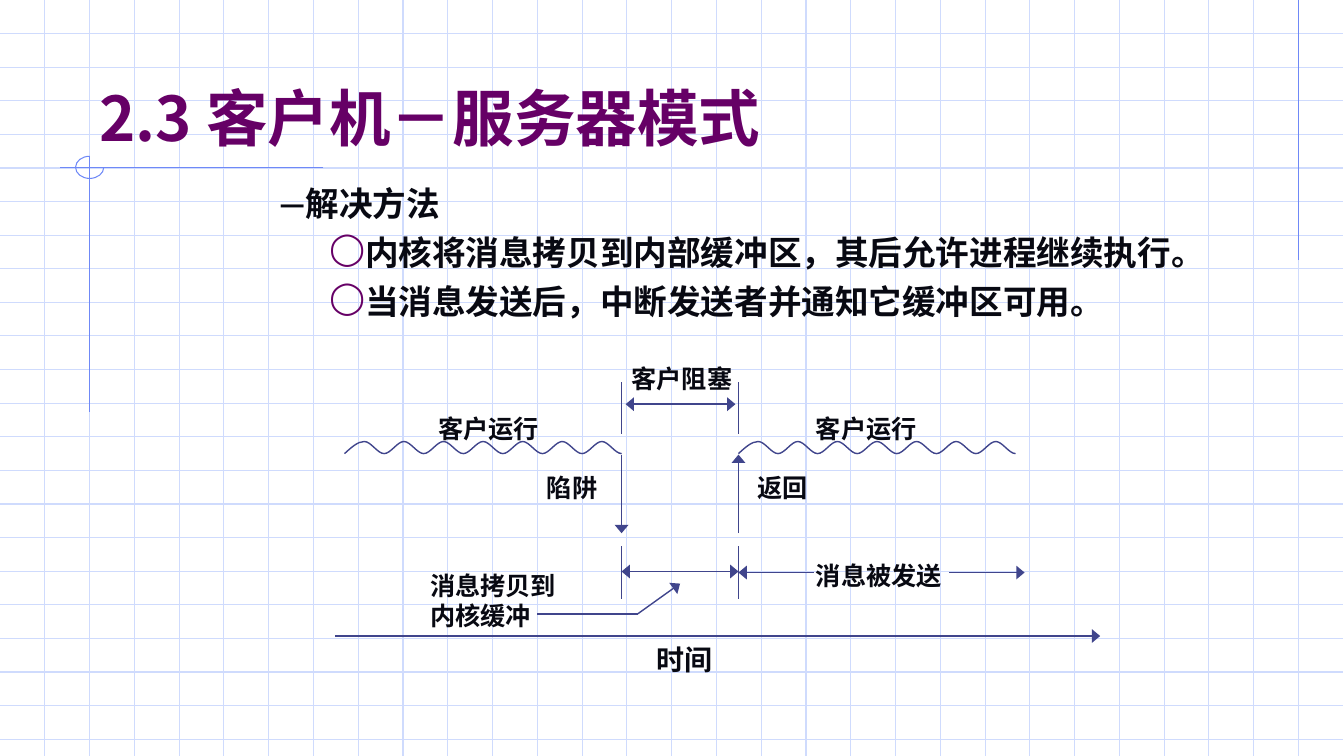
from lxml.etree import SubElement as Sub
from pptx import Presentation
from pptx.dml.color import RGBColor as Rgb
from pptx.enum.shapes import MSO_CONNECTOR as Conn
from pptx.enum.text import MSO_ANCHOR as Anchor
from pptx.oxml.ns import qn
from pptx.util import Inches, Pt


class Theme:
    grid = "CFDBFD"
    trim = "6F89F7"
    ink = "40458C"
    text = "080912"
    head = "660066"
    serif = "Times New Roman"
    sans = "Lato"
    cjk = "Noto Sans CJK JP"
    title = 44
    body = 24
    time = 20
    label = 18
    thin = 0.75
    line = 1


deck = Presentation()
deck.slide_width, deck.slide_height = Inches(13.34), Inches(7.5)
slide = deck.slides.add_slide(deck.slide_layouts[6])
shapes = slide.shapes


def write(para, text, font=Theme.serif, east=Theme.sans, size=Theme.label, color=Theme.text):
    run = para.add_run()
    run.text = text
    run.font.name = font
    run.font.size = Pt(size)
    run.font.bold = True
    run.font.color.rgb = Rgb.from_string(color)
    Sub(run.font._element, qn("a:ea")).set("typeface", east)


def draw(x1, y1, x2, y2, color=Theme.ink, width=Theme.line, ends=()):
    line = shapes.add_connector(Conn.STRAIGHT, Inches(x1), Inches(y1), Inches(x2), Inches(y2))
    line.line.color.rgb = Rgb.from_string(color)
    line.line.width = Pt(width)
    for end in ends:
        tip = Sub(line.line._get_or_add_ln(), qn(f"a:{end}End"))
        tip.set("type", "triangle")
        tip.set("w", "lg")
        tip.set("len", "med")
    Sub(line._element.spPr, qn("a:effectLst"))


for row in range(1, 23):
    draw(0, row / 3, 13.33, row / 3, Theme.grid, Theme.thin)
for col in range(1, 30):
    draw(col * 4 / 9, 0, col * 4 / 9, 7.5, Theme.grid, Theme.thin)
for ends in [(12.89, 0, 12.89, 2.58), (3.21, 1.66, 0.6, 1.66), (0.89, 1.55, 0.89, 4.09)]:
    draw(*ends, Theme.trim, Theme.thin)

left, right = 6.17, 7.33
span, bends = 2.75, 14
low, high = 4.5, 4.38
bow = 0.55
turns = [(0, -1), (-1, 0), (0, 1), (1, 0)]
ring = [(0.89, 1.55)]
for (x1, y1), (x2, y2) in zip(turns, turns[1:]):
    for x, y in [(x1 + bow * x2, y1 + bow * y2), (x2 + bow * x1, y2 + bow * y1), (x2, y2)]:
        ring.append((0.89 + 0.14 * x, 1.66 + 0.11 * y))
curves = [(ring, Theme.trim, Theme.thin)]
for start in (left - span, right):
    step = span / bends / 3
    wave = [(start, low)]
    for bend in range(bends):
        old, new = (high, low) if bend % 2 else (low, high)
        for part, y in enumerate((old, new, new), 1):
            wave.append((start + (3 * bend + part) * step, y))
    wave[1] = (start + step, (low + high) / 2)
    curves.append((wave, Theme.ink, Theme.line))

for points, color, width in curves:
    spots = [(Inches(x), Inches(y)) for x, y in points]
    pen = shapes.build_freeform(*spots[0])
    pen.add_line_segments(spots[1:], close=False)
    curve = pen.convert_to_shape()
    curve.shadow.inherit = False
    curve.fill.background()
    curve.line.color.rgb = Rgb.from_string(color)
    curve.line.width = Pt(width)
    trail = curve._element.spPr.find(".//" + qn("a:path"))
    legs = trail.findall(qn("a:lnTo"))
    for i in range(0, len(legs), 3):
        bend = Sub(trail, qn("a:cubicBezTo"))
        for leg in legs[i:i + 3]:
            bend.append(leg[0])
            trail.remove(leg)

for x in (left, right):
    for top in (3.79, 5.42):
        draw(x, top, x, top + 0.52)

one, both = ["tail"], ["head", "tail"]
for *ends, tips in [
    (left, 4.51, left, 5.29, one),
    (right, 5.29, right, 4.51, one),
    (8.08, 5.68, right, 5.68, one),
    (9.42, 5.68, 10.17, 5.68, one),
    (right, 5.67, left, 5.67, both),
    (6.21, 4.01, 7.3, 4.01, both),
    (3.33, 6.31, 10.92, 6.31, one),
    (6.33, 6.09, 6.75, 5.79, one),
    (6.33, 6.09, 5.33, 6.09, ()),
]:
    draw(*ends, ends=tips)

for text, x, y, wide, tall, size in [
    ("返回", 7.42, 4.64, 1.75, 0.4, Theme.label),
    ("陷阱", 5.33, 4.64, 0.92, 0.4, Theme.label),
    ("客户运行", 4.25, 4.05, 1.5, 0.4, Theme.label),
    ("客户运行", 8, 4.05, 1.5, 0.4, Theme.label),
    ("消息被发送", 8, 5.51, 1.5, 0.4, Theme.label),
    ("客户阻塞", 6.17, 3.56, 1.5, 0.4, Theme.label),
    ("消息拷贝到内核缓冲", 4.17, 5.61, 1.5, 0.7, Theme.label),
    ("时间", 6.42, 6.32, 1.08, 0.44, Theme.time),
]:
    frame = shapes.add_textbox(Inches(x), Inches(y), Inches(wide), Inches(tall)).text_frame
    frame.word_wrap = True
    write(frame.paragraphs[0], text, size=size)

frame = shapes.add_textbox(Inches(0.89), Inches(0.33), Inches(11.33), Inches(1.25)).text_frame
frame.word_wrap = True
frame.vertical_anchor = Anchor.BOTTOM
write(frame.paragraphs[0], "2.3 客户机－服务器模式", font=Theme.cjk, east=Theme.cjk,
      size=Theme.title, color=Theme.head)

frame = shapes.add_textbox(Inches(2.17), Inches(1.75), Inches(10.25), Inches(5.17)).text_frame
frame.word_wrap = True
para = frame.paragraphs[0]
para.level = 1
para.line_spacing = 1.05
props = para._p.get_or_add_pPr()
props.set("marL", str(Inches(0.81)))
props.set("indent", str(Inches(-0.31)))
write(para, "—", size=Theme.body)
write(para, "解决方法", font=Theme.sans, size=Theme.body)
for text in ["内核将消息拷贝到内部缓冲区，其后允许进程继续执行。",
             "当消息发送后，中断发送者并通知它缓冲区可用。"]:
    para = frame.add_paragraph()
    para.level = 2
    para.space_before = Pt(6)
    props = para._p.get_or_add_pPr()
    props.set("marL", str(Inches(1.25)))
    props.set("indent", str(Inches(-0.25)))
    Sub(Sub(props, qn("a:buClr")), qn("a:srgbClr")).set("val", Theme.head)
    Sub(props, qn("a:buSzPct")).set("val", "95000")
    Sub(props, qn("a:buChar")).set("char", "◯")
    write(para, text, font=Theme.sans, size=Theme.body)

deck.save("out.pptx")
